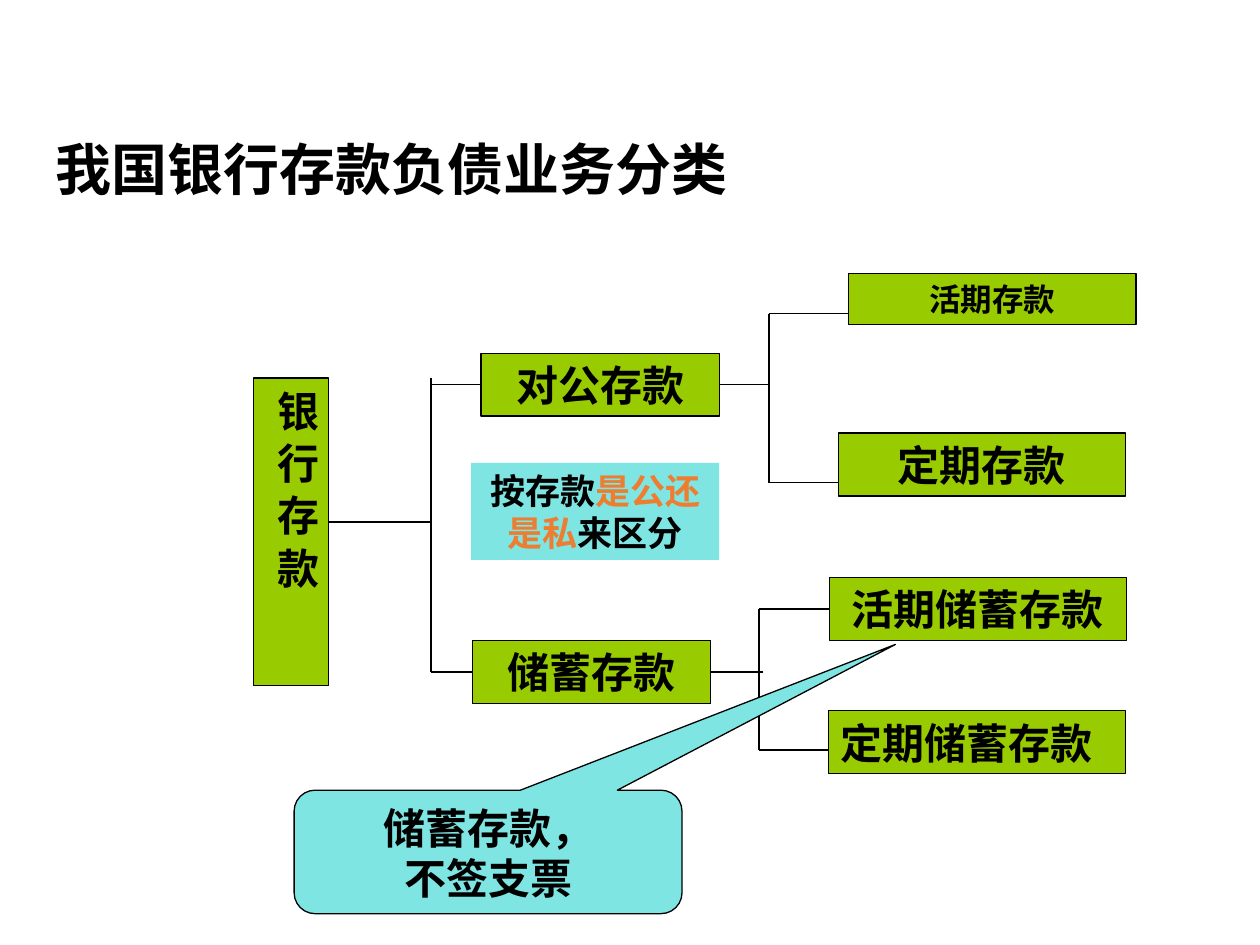
from lxml.etree import SubElement
from pptx import Presentation
from pptx.dml.color import RGBColor
from pptx.enum.shapes import MSO_CONNECTOR, MSO_SHAPE
from pptx.enum.text import MSO_ANCHOR as ANCHOR, MSO_AUTO_SIZE as AUTO, PP_ALIGN as ALIGN
from pptx.oxml.ns import qn
from pptx.util import Cm, Pt

BLACK = RGBColor(0x00, 0x00, 0x00)
GREEN = RGBColor(0x99, 0xCC, 0x00)
AQUA = RGBColor(0x7F, 0xE5, 0xE3)
ORANGE = RGBColor(0xED, 0x7D, 0x31)
CJK_FONT = "Noto Sans CJK SC"
BODY_FONT = "DejaVu Sans"
LINE_WIDTH = Pt(0.75)
LEFT, RIGHT = 1, 3


def set_attrs(obj, **values):
    for name, value in values.items():
        setattr(obj, name, value)


def add_run(p, text, size, color=BLACK, font=BODY_FONT):
    r = p.add_run()
    r.text = text
    set_attrs(r.font, name=font, size=Pt(size), bold=True)
    r.font.color.rgb = color
    SubElement(r.font._element, qn("a:ea"), typeface=font)


def add_title(slide, text):
    sp = slide.shapes.title
    set_attrs(sp, left=Cm(0.86), top=Cm(2.44), width=Cm(18.24), height=Cm(2.08))
    set_attrs(sp.text_frame, vertical_anchor=ANCHOR.MIDDLE,
              auto_size=AUTO.NONE, word_wrap=True)
    p = sp.text_frame.paragraphs[0]
    set_attrs(p, alignment=ALIGN.LEFT, line_spacing=0.9)
    add_run(p, text, 32, font=CJK_FONT)


def add_block(slide, kind, at, fill, outlined=True):
    sp = slide.shapes.add_shape(kind, *(Cm(v) for v in at))
    sp.shadow.inherit = False
    sp.fill.solid()
    sp.fill.fore_color.rgb = fill
    if outlined:
        sp.line.color.rgb = BLACK
        sp.line.width = LINE_WIDTH
    else:
        sp.line.fill.background()
    set_attrs(sp.text_frame, word_wrap=True, vertical_anchor=ANCHOR.TOP)
    return sp


def add_box(slide, at, runs, size=24, fill=GREEN, outlined=True,
            align=ALIGN.CENTER, font=BODY_FONT):
    """Add a rectangle that grows with its text; runs are (text, colour) pairs."""
    sp = add_block(slide, MSO_SHAPE.RECTANGLE, at, fill, outlined)
    sp.text_frame.auto_size = AUTO.SHAPE_TO_FIT_TEXT
    p = sp.text_frame.paragraphs[0]
    set_attrs(p, alignment=align, space_before=Pt(size * 0.625))
    for text, color in runs:
        add_run(p, text, size, color, font)
    return sp


def make_vertical(sp):
    """Set the text top to bottom in a box of fixed size."""
    sp.text_frame._txBody.bodyPr.set("vert", "eaVert")
    set_attrs(sp.text_frame, auto_size=AUTO.NONE,
              margin_left=Cm(0.13), margin_right=Cm(0.13),
              margin_top=Cm(0.25), margin_bottom=Cm(0.25))


def add_callout(slide, at, lines):
    sp = add_block(slide, MSO_SHAPE.ROUNDED_RECTANGULAR_CALLOUT, at, AQUA)
    for i, value in enumerate((1.05, -1.68, 0.17)):
        sp.adjustments[i] = value
    tf = sp.text_frame
    for i, text in enumerate(lines):
        p = tf.add_paragraph() if i else tf.paragraphs[0]
        p.alignment = ALIGN.CENTER
        add_run(p, text, 24)


def add_line(slide, x1, y1, x2, y2):
    line = slide.shapes.add_connector(MSO_CONNECTOR.STRAIGHT, x1, y1, x2, y2)
    line.line.color.rgb = BLACK
    line.line.width = LINE_WIDTH
    SubElement(line._element.spPr, qn("a:effectLst"))
    return line


def add_spine(slide, x, top, bottom):
    add_line(slide, Cm(x), Cm(top), Cm(x), Cm(bottom))


def add_arm(slide, x, box, side, y=None):
    """Run level from x to a side of box, joined to its middle unless y is given."""
    edge = box.left if side == LEFT else box.left + box.width
    level = box.top + box.height // 2 if y is None else Cm(y)
    line = add_line(slide, Cm(x), level, edge, level)
    if y is None:
        line.end_connect(box, side)


def main():
    prs = Presentation()
    prs.slide_width, prs.slide_height = Cm(25.4), Cm(19.05)
    slide = prs.slides.add_slide(prs.slide_layouts[5])
    add_title(slide, "我国银行存款负债业务分类")

    deposits = add_box(slide, (5.11, 7.62, 1.52, 6.2), [("银 行 存 款", BLACK)],
                       font=CJK_FONT)
    make_vertical(deposits)
    corporate = add_box(slide, (9.7, 7.12, 4.8, 1.27), [("对公存款", BLACK)])
    savings = add_box(slide, (9.53, 12.91, 4.8, 1.27), [("储蓄存款", BLACK)])
    demand = add_box(slide, (17.11, 5.52, 5.79, 1.02), [("活期存款", BLACK)], size=18)
    fixed = add_box(slide, (16.9, 8.73, 5.79, 1.27), [("定期存款", BLACK)])
    demand_savings = add_box(slide, (16.72, 11.64, 5.99, 1.27), [("活期储蓄存款", BLACK)])
    fixed_savings = add_box(slide, (16.7, 14.33, 5.99, 1.27),
                            [("定期储蓄存款", BLACK)], align=ALIGN.LEFT)

    add_spine(slide, 8.69, 7.62, 13.54)
    add_arm(slide, 8.69, deposits, RIGHT, 10.52)
    add_arm(slide, 8.69, corporate, LEFT)
    add_arm(slide, 8.69, savings, LEFT)

    add_spine(slide, 15.5, 6.32, 9.73)
    add_arm(slide, 15.5, corporate, RIGHT)
    add_arm(slide, 15.5, demand, LEFT, 6.32)
    add_arm(slide, 15.5, fixed, LEFT, 9.73)

    add_spine(slide, 15.3, 12.28, 15.12)
    add_arm(slide, 15.39, savings, RIGHT)
    add_arm(slide, 15.3, demand_savings, LEFT)
    add_arm(slide, 15.3, fixed_savings, LEFT, 15.12)

    add_box(slide, (9.5, 9.33, 5, 1.96),
            [("按存款", BLACK), ("是公还是私", ORANGE), ("来区分", BLACK)],
            size=20, fill=AQUA, outlined=False)
    add_callout(slide, (5.93, 15.93, 7.82, 2.49), ["储蓄存款，", "不签支票"])
    prs.save("out.pptx")


if __name__ == "__main__":
    main()
